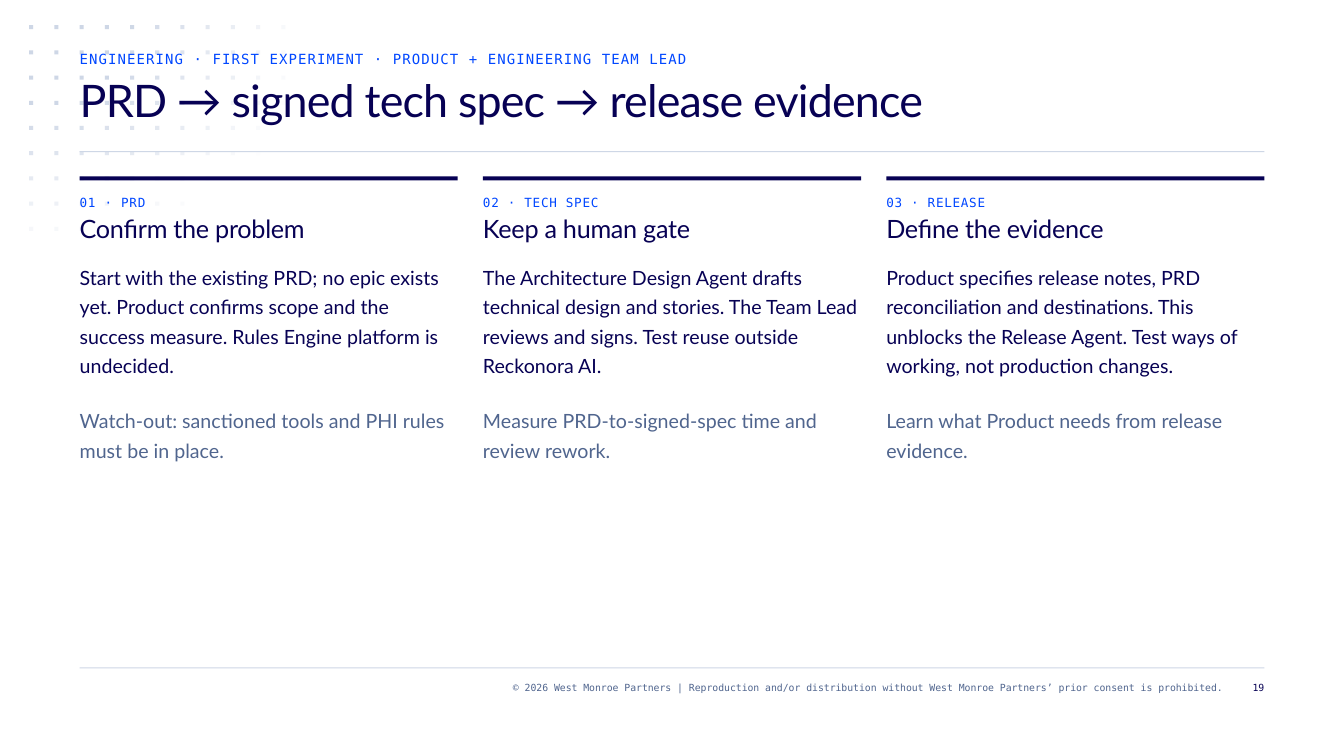
from itertools import product
from math import hypot

from lxml.etree import SubElement
from pptx import Presentation
from pptx.dml.color import RGBColor
from pptx.enum.shapes import MSO_SHAPE as Shape
from pptx.enum.text import MSO_ANCHOR as Anchor, MSO_AUTO_SIZE as Fit, PP_ALIGN as Align
from pptx.oxml.ns import qn
from pptx.util import Inches, Pt

HUES = {"navy": "070154", "blue": "0047FF", "slate": "50658E", "mist": "CED7E6"}
MONO, SANS = "DejaVu Sans Mono", "Lato"
LEFT, WIDTH = 0.79, 11.75
STEP, COL = 4, 3.75
STAGES = [
    ("01 · PRD", "Confirm the problem",
     "Start with the existing PRD; no epic exists yet. Product confirms scope and the "
     "success measure. Rules Engine platform is undecided.",
     "Watch-out: sanctioned tools and PHI rules must be in place."),
    ("02 · TECH SPEC", "Keep a human gate",
     "The Architecture Design Agent drafts technical design and stories. The Team Lead "
     "reviews and signs. Test reuse outside Reckonora AI.",
     "Measure PRD-to-signed-spec time and review rework."),
    ("03 · RELEASE", "Define the evidence",
     "Product specifies release notes, PRD reconciliation and destinations. This unblocks "
     "the Release Agent. Test ways of working, not production changes.",
     "Learn what Product needs from release evidence."),
]


def color(name):
    """Return the named colour."""
    return RGBColor.from_string(HUES[name])


def style(shape, text, size, lead, hue, font=SANS, track=0, align=Align.LEFT):
    """Fill a text shape with one styled paragraph."""
    frame = shape.text_frame
    frame.text = text
    frame.word_wrap = True
    frame.auto_size = Fit.NONE
    frame.vertical_anchor = Anchor.TOP
    frame.margin_left = frame.margin_right = frame.margin_top = frame.margin_bottom = 0
    para = frame.paragraphs[0]
    para.alignment = align
    para.line_spacing = Pt(lead)
    run = para.runs[0]
    run.font.name, run.font.size = font, Pt(size)
    run.font.color.rgb = color(hue)
    if track:
        run.font._element.set("spc", str(round(track * 100)))


def label(slide, box, *args, **opts):
    """Add a styled text box."""
    style(slide.shapes.add_textbox(*map(Inches, box)), *args, **opts)


def block(slide, box, hue, alpha=1):
    """Add a plain filled rectangle."""
    shape = slide.shapes.add_shape(Shape.RECTANGLE, *map(Inches, box))
    shape.shadow.inherit = False
    shape.line.fill.background()
    shape.fill.solid()
    shape.fill.fore_color.rgb = color(hue)
    if alpha < 1:
        tint = shape._element.spPr.find(qn("a:solidFill"))[0]
        SubElement(tint, qn("a:alpha")).set("val", str(round(alpha * 100) * 1000))


def dots(slide, left, top):
    """Draw a dot grid that fades out along an ellipse."""
    for col, row in product(range(11), range(9)):
        alpha = 1.52 * (1 - hypot(col / 11.07, row / 9.07))
        if alpha > 0.02:
            block(slide, (left + col / 4, top + row / 4, 0.04, 0.04), "mist", alpha)


def header(slide, left, top, width):
    """Place the kicker, the title and the rule below them."""
    block(slide, (left, top + 1, width, 0.01), "mist")
    label(slide, (left, top, width, 0.17),
          "ENGINEERING · FIRST EXPERIMENT · PRODUCT + ENGINEERING TEAM LEAD",
          10, 12, "blue", MONO, 0.8)
    title = slide.shapes.title
    title.left, title.top = Inches(left), Inches(top + 0.25)
    title.width, title.height = Inches(width), Inches(0.75)
    style(title, "PRD → signed tech spec → release evidence", 32, 36, "navy", track=-0.6)
    title._element.getparent().append(title._element)


def column(slide, left, top, width, stage):
    """Place one stage with its bar, heading, body and note."""
    tag, head, body, note = stage
    block(slide, (left, top, width, 0.04), "navy")
    label(slide, (left, top + 0.17, width, 0.17), tag, 9, 12, "blue", MONO, 0.5)
    label(slide, (left, top + 0.33, width, 0.33), head, 18, 24, "navy", track=-0.2)
    label(slide, (left, top + 0.83, width, 1.17), body, 14, 21, "navy")
    label(slide, (left, top + 2.25, width, 0.58), note, 14, 21, "slate")


def footer(slide, left, top, width):
    """Place the bottom rule, the copyright line and the page number."""
    right = left + width
    block(slide, (left, top, width, 0.01), "mist")
    label(slide, (right - 10.16, top + 0.13, 9.75, 0.25),
          "© 2026 West Monroe Partners | Reproduction and/or distribution without "
          "West Monroe Partners’ prior consent is prohibited.",
          7, 9, "slate", MONO, align=Align.RIGHT)
    label(slide, (right - 0.33, top + 0.13, 0.33, 0.25), "19",
          7, 9, "navy", MONO, align=Align.RIGHT)


def main():
    """Build and save the slide."""
    deck = Presentation()
    deck.slide_width, deck.slide_height = Inches(13.33), Inches(7.5)
    slide = deck.slides.add_slide(deck.slide_layouts[5])
    dots(slide, 0.29, 0.25)
    header(slide, LEFT, 0.5, WIDTH)
    for num, stage in enumerate(STAGES):
        column(slide, LEFT + num * STEP, 1.75, COL, stage)
    footer(slide, LEFT, 6.62, WIDTH)
    deck.save("out.pptx")


if __name__ == "__main__":
    main()
